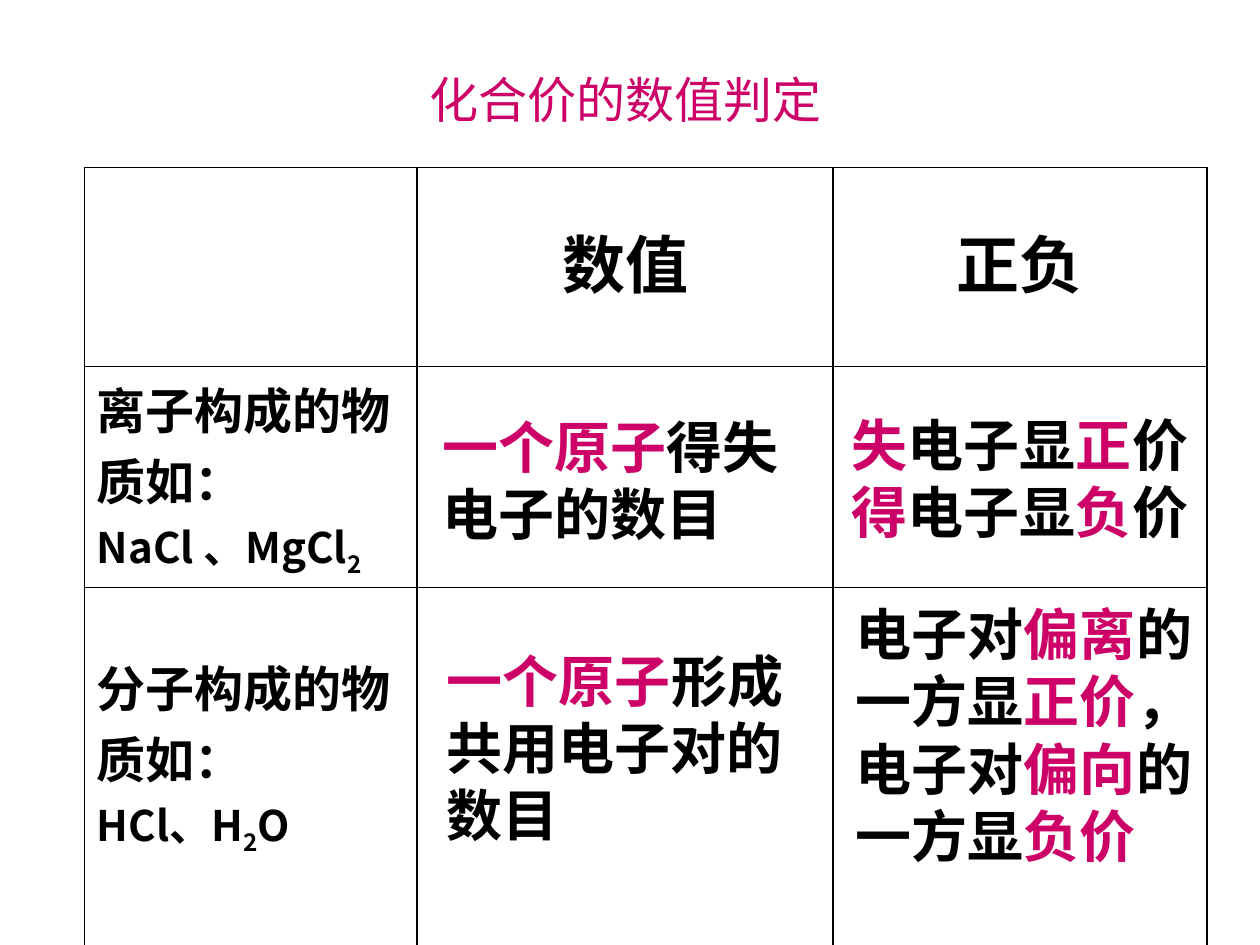
from lxml import etree
from pptx import Presentation
from pptx import util as u
from pptx.dml.color import RGBColor
from pptx.enum import text
from pptx.oxml import ns

THEME = {
    "sans": "Arial", "cjk": "Noto Sans CJK SC",
    "black": "000000", "accent": "CC0066",
    "header": 36, "callout": 32, "label": 28, "formula": 24,
    "border": 1, "outline": 1.5,
}

TITLE = "化合价的数值判定"
HEADERS = ["", "数值", "正负"]
LABELS = [
    [[("离子构成的物质如：", "label", 0)],
     [("NaCl 、MgCl", "formula", 0), ("2", "formula", -25)]],
    [[("分子构成的物质如：", "label", 0)],
     [("HCl、H", "formula", 0), ("2", "formula", -25), ("O", "formula", 0)]],
]
CALLOUTS = [
    ((8.92, 8.31, 6.93, 2.72), 0,
     [[("一个原子", "accent"), ("得失电子的数目", "black")]]),
    ((17.17, 8.28, 6.93, 2.72), 0,
     [[("失", "accent"), ("电子显", "black"), ("正", "accent"), ("价", "black")],
      [("得", "accent"), ("电子显", "black"), ("负", "accent"), ("价", "black")]]),
    ((8.76, 12.9, 7.62, 4.32), 0.25,
     [[("一个原子", "accent"), ("形成共用电子对的数目", "black")]]),
    ((17.25, 12.09, 6.93, 5.41), 0,
     [[("电子对", "black"), ("偏离", "accent"), ("的一方显", "black"),
       ("正价", "accent"), ("，电子对", "black"), ("偏向", "accent"),
       ("的一方显", "black"), ("负价", "accent")]]),
]
TITLE_BOX = (6.99, 1.27, 11.23, 1.4)
TABLE_ORIGIN = (1.7, 3.38)
COLUMNS = [6.71, 8.38, 7.54]
ROWS = [4.01, 4.45, 7.37]
LAST_LABEL_BOTTOM = 0.74


def lengths(values):
    return [u.Cm(value) for value in values]


def solid_line(parent, tag, width, color):
    line = etree.SubElement(parent, ns.qn(tag), w=str(u.Pt(width)))
    fill = etree.SubElement(line, ns.qn("a:solidFill"))
    etree.SubElement(fill, ns.qn("a:srgbClr"), val=THEME[color])
    return line


def add_run(paragraph, words, size, font="sans", color="black", bold=True, baseline=0):
    run = paragraph.add_run()
    run.text = words
    run.font.size = u.Pt(THEME[size])
    run.font.bold = bold
    run.font.color.rgb = RGBColor.from_string(THEME[color])
    run.font.name = THEME[font]
    properties = run.font._element
    etree.SubElement(properties, ns.qn("a:ea"), typeface=THEME[font])
    if baseline:
        properties.set("baseline", str(baseline * 1000))
    return run


def fill_frame(frame, paragraphs, write):
    for index, pieces in enumerate(paragraphs):
        paragraph = frame.add_paragraph() if index else frame.paragraphs[0]
        for piece in pieces:
            write(paragraph, piece)


def write_label(paragraph, piece):
    words, size, baseline = piece
    add_run(paragraph, words, size, "cjk", baseline=baseline)


def write_callout(paragraph, piece):
    words, color = piece
    add_run(paragraph, words, "callout", color=color)


def add_title(slide):
    title = slide.shapes.title
    title.left, title.top, title.width, title.height = lengths(TITLE_BOX)
    frame = title.text_frame
    frame.word_wrap = False
    frame.auto_size = text.MSO_AUTO_SIZE.NONE
    frame.vertical_anchor = text.MSO_ANCHOR.TOP
    paragraph = frame.paragraphs[0]
    paragraph.alignment = text.PP_ALIGN.CENTER
    run = add_run(paragraph, TITLE, "label", "cjk", "accent", bold=False)
    properties = run.font._element
    properties.insert(0, solid_line(properties, "a:ln", THEME["outline"], "accent"))


def add_grid(slide):
    size = (sum(COLUMNS), sum(ROWS))
    table = slide.shapes.add_table(
        len(ROWS), len(COLUMNS), *lengths(TABLE_ORIGIN + size)).table
    table.first_row = table.horz_banding = False
    for column, width in zip(table.columns, COLUMNS):
        column.width = u.Cm(width)
    for row, height in zip(table.rows, ROWS):
        row.height = u.Cm(height)
    for cell in table.iter_cells():
        cell.vertical_anchor = text.MSO_ANCHOR.MIDDLE
        for side in "LRTB":
            solid_line(cell._tc.get_or_add_tcPr(), f"a:ln{side}", THEME["border"], "black")
        cell.fill.background()
    for index, header in enumerate(HEADERS):
        if header:
            paragraph = table.cell(0, index).text_frame.paragraphs[0]
            paragraph.alignment = text.PP_ALIGN.CENTER
            add_run(paragraph, header, "header")
    for index, label in enumerate(LABELS, 1):
        fill_frame(table.cell(index, 0).text_frame, label, write_label)
    table.cell(len(LABELS), 0).margin_bottom = u.Cm(LAST_LABEL_BOTTOM)


def add_callout(slide, box, inset, paragraphs):
    frame = slide.shapes.add_textbox(*lengths(box)).text_frame
    frame.word_wrap = True
    frame.auto_size = text.MSO_AUTO_SIZE.SHAPE_TO_FIT_TEXT
    frame.margin_left = frame.margin_right = u.Cm(inset)
    frame.margin_top = frame.margin_bottom = u.Cm(inset / 2)
    fill_frame(frame, paragraphs, write_callout)


def main():
    presentation = Presentation()
    presentation.slide_width, presentation.slide_height = lengths((25.4, 19.05))
    slide = presentation.slides.add_slide(presentation.slide_layouts[5])
    add_title(slide)
    add_grid(slide)
    for box, inset, paragraphs in CALLOUTS:
        add_callout(slide, box, inset, paragraphs)
    presentation.save("out.pptx")


if __name__ == "__main__":
    main()
